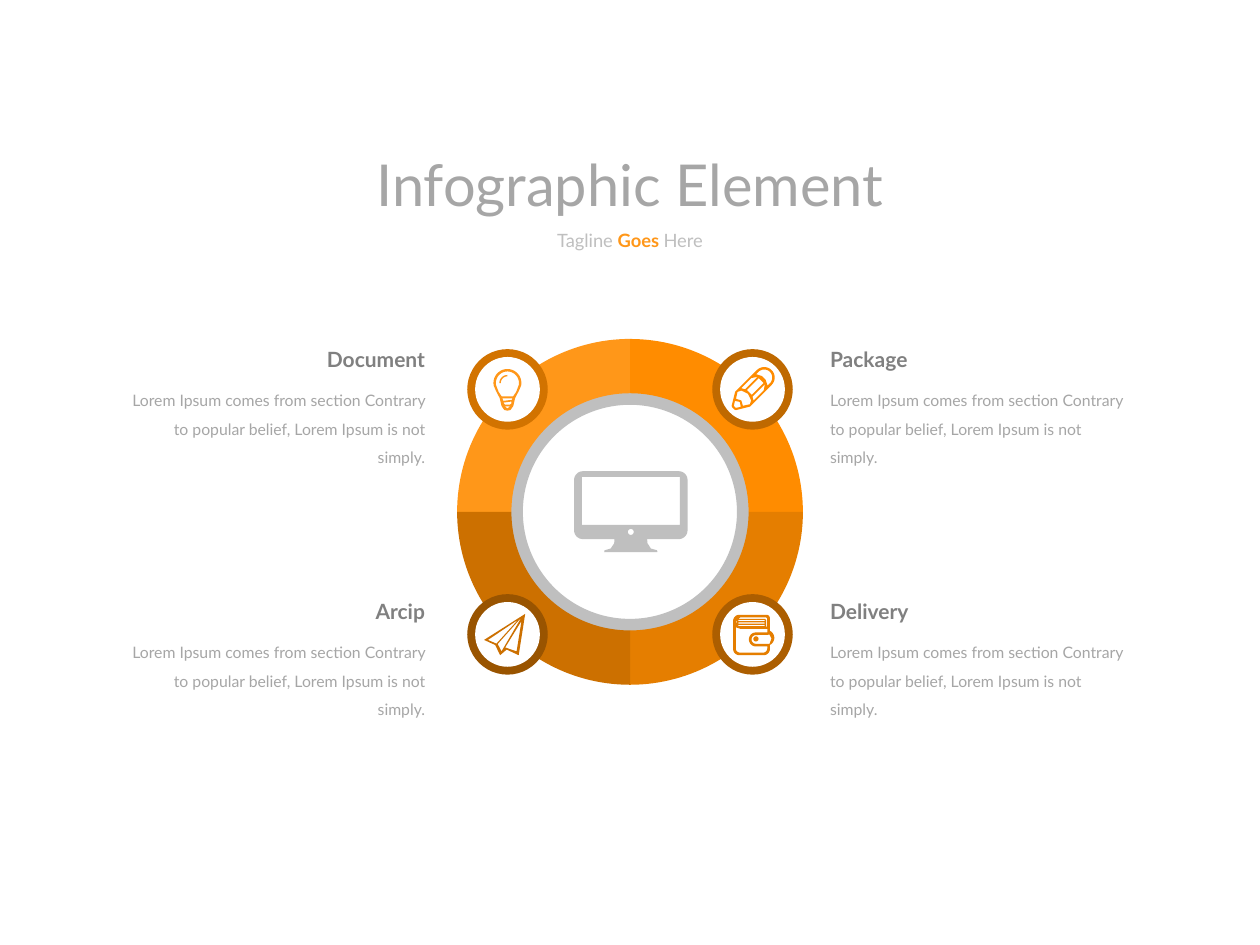
from math import cos, radians, sin

from pptx import Presentation
from pptx.dml.color import RGBColor
from pptx.enum.shapes import MSO_SHAPE as SHAPE
from pptx.enum.text import MSO_ANCHOR as ANCHOR, MSO_AUTO_SIZE as AUTO, PP_ALIGN as ALIGN
from pptx.util import Pt

COLORS = {
    "title": "A6A6A6", "tagline": "BFBFBF", "accent": "FF9719",
    "heading": "808080", "body": "A6A6A6", "gray": "BFBFBF", "white": "FFFFFF",
    "bulb": "FF9719", "pencil": "FF8C00", "wallet": "E57E00", "plane": "CC7000",
    "bulb rim": "D27300", "pencil rim": "BF6900",
    "wallet rim": "AC5E00", "plane rim": "995400",
}
CX, CY = 360, 292.5  # centre of the wheel
BADGE = 70           # badge distance from the centre, across and down
LOREM = ("Lorem Ipsum comes from section Contrary to popular belief, "
         "Lorem Ipsum is not simply.")


def arc(x, y, r, start, end):
    """Points on an arc, in degrees clockwise from the right."""
    steps = max(2, round(abs(end - start) / 10))
    angles = [radians(start + (end - start) * i / steps) for i in range(steps + 1)]
    return [(x + r * cos(a), y + r * sin(a)) for a in angles]


def box(x, y, w, h, r=0):
    corners = [(x + r, y + r, 180), (x + w - r, y + r, 270),
               (x + w - r, y + h - r, 0), (x + r, y + h - r, 90)]
    return [p for cx, cy, a in corners for p in arc(cx, cy, r, a, a + 90)]


def flip(points):
    return [(-x, y) for x, y in reversed(points)]


def mirror(points):
    """Close a right half with its reflection."""
    return points + flip(points)


# Icon outlines in points around their centres; inner contours are holes
MONITOR = [
    box(-32.4, -23.2, 64.8, 38.8, 5),
    box(-28, -20, 56, 27.5),
    arc(0, 11.5, 1.7, 0, 360),
    mirror([(9.3, 15.6), (9.5, 18), (11.5, 21), (15, 22), (15.2, 23)]),
]
BULB = [
    mirror(arc(0, -3.6, 8, 270, 370)
           + [(6.5, 1), (4.4, 5), (3.4, 9.5), (1.8, 11.8), (0, 12.2)]),
    mirror(arc(0, -3.6, 6.6, 270, 370) + [(5, 1.5), (3.3, 4)]),
    [(2.9, 5.2), (2.6, 6), (-2.3, 6.6), (-2.9, 5.2)],
    [(2.3, 7), (2.2, 8.2), (1.5, 8.7), (-1.5, 8.7), (-2.3, 7.6)],
    mirror([(1.5, 9.8), (0, 10.9)]),
]
SHINE = [arc(0, -3.6, 4.6, 180, 270) + arc(0, -3.6, 3.8, 270, 180)]
STRIP = [(3, -7.1), (5, -4.1), (5, 4.1), (3, 3)]
PENCIL = [  # upright, tip down
    mirror(arc(0, -9.5, 6, 270, 360) + [(6, 8), (1.8, 15), (0.9, 15.5)]),
    mirror(arc(0, -9.5, 4.6, 270, 360) + [(4.6, -7.6), (1.5, -9.2)]),
    mirror([(2, -7.1), (2, 2.5)]),
    STRIP,
    flip(STRIP),
    mirror([(0, 3.6), (4, 5), (5, 7.1), (2.8, 10.5), (0, 9)]),
    mirror([(0, 10.2), (2.4, 11.8), (0.8, 14.2)]),
]
WALLET = [
    arc(-7.5, -7.7, 3.5, 180, 270) + arc(8, -9.2, 2, 270, 360)
    + arc(8, 2, 4.5, -64, 64) + arc(6.5, 8.4, 3.5, 0, 90) + arc(-7.5, 8.4, 3.5, 90, 180),
    [(-9.4, -4), (-7, -3.2), (8.5, -3.2), (8.5, -1.1)] + arc(2, 2.9, 4, 270, 90)
    + [(8.5, 6.9)] + arc(6.2, 8.1, 2.3, 0, 90) + arc(-7.2, 8.1, 2.3, 90, 180),
    arc(2, 2.9, 2.5, 90, 270) + [(9.8, 0.2), (10.9, 2.4), (9.8, 5.4)],
    [(8.4, -9.2), (7.8, -9.7), (-7, -9.7), (-9.3, -7.5), (-8.9, -5.5), (-8.9, -8.2),
     (-8.2, -8.9), (7.2, -8.9), (7.9, -8), (7.9, -4.6), (8.4, -4)],
] + [box(-8, y, 15, 0.7) for y in (-8.2, -6.8, -5.4)]
PLANE = [
    [(10.1, -11.7), (-13.4, 3.2), (-7, 6.1), (-4.2, 11.9), (-0.5, 8.7), (6.4, 11.9)],
    [(-11.2, 3.2), (6, -8.3), (-6.3, 5.3)],
    [(-5.6, 5.5), (8, -9.7), (-3.4, 9.7)],
    [(5.2, 9.7), (-1.3, 7.5), (8, -7.6)],
]


class Deck:
    font = "Lato"

    def __init__(self):
        self.prs = Presentation()
        self.prs.slide_width, self.prs.slide_height = Pt(720), Pt(540)
        self.slide = self.prs.slides.add_slide(self.prs.slide_layouts[5])

    def paint(self, sp, color):
        sp.shadow.inherit = False
        sp.fill.solid()
        sp.fill.fore_color.rgb = RGBColor.from_string(COLORS[color])
        sp.line.fill.background()

    def disc(self, x, y, r, color, kind=SHAPE.OVAL, adjustments=()):
        sp = self.slide.shapes.add_shape(kind, Pt(x - r), Pt(y - r), Pt(2 * r), Pt(2 * r))
        for i, value in enumerate(adjustments):
            sp.adjustments[i] = value
        self.paint(sp, color)

    def icon(self, x, y, contours, color, rotation=0):
        # Units of a hundredth of a point keep the curves smooth
        scaled = [[(px * 100, py * 100) for px, py in c] for c in contours]
        fb = self.slide.shapes.build_freeform(*scaled[0][0], scale=Pt(1) / 100)
        fb.add_line_segments(scaled[0][1:], close=True)
        for c in scaled[1:]:
            fb.move_to(*c[0])
            fb.add_line_segments(c[1:], close=True)
        sp = fb.convert_to_shape(Pt(x), Pt(y))
        sp.rotation = rotation
        self.paint(sp, color)

    def set_text(self, sp, runs, size, align, wrap=False, spacing=None):
        tf = sp.text_frame
        tf.word_wrap = wrap
        tf.auto_size = AUTO.SHAPE_TO_FIT_TEXT
        tf.vertical_anchor = ANCHOR.TOP
        p = tf.paragraphs[0]
        p.alignment = align
        if spacing:
            p.line_spacing = spacing
        for text, color, bold in runs:
            r = p.add_run()
            r.text = text
            r.font.name, r.font.size, r.font.bold = self.font, Pt(size), bold
            r.font.color.rgb = RGBColor.from_string(COLORS[color])

    def title(self, x, y, w, h, text):
        sp = self.slide.shapes.title
        sp.left, sp.top, sp.width, sp.height = Pt(x), Pt(y), Pt(w), Pt(h)
        self.set_text(sp, [(text, "title", False)], 33, ALIGN.CENTER)

    def text(self, x, y, w, h, runs, size, align, **layout):
        sp = self.slide.shapes.add_textbox(Pt(x), Pt(y), Pt(w), Pt(h))
        self.set_text(sp, runs, size, align, **layout)


def main():
    deck = Deck()

    # Title and tagline
    deck.title(204, 81.5, 312, 47.5, "Infographic Element")
    deck.text(309.5, 127.5, 101, 20,
              [("Tagline ", "tagline", False), ("Goes ", "accent", True),
               ("Here", "tagline", False)], 10.5, ALIGN.CENTER)

    # Wheel: grey ring under four quadrants
    deck.disc(CX, CY, 82, "gray", SHAPE.DONUT, [0.127])
    # side, row, start angle, colour name, icon, icon turn, heading, heading width
    parts = [
        (-1, -1, 180, "bulb", BULB, 0, "Document", 71.3),
        (1, -1, 270, "pencil", PENCIL, 45, "Package", 59.8),
        (1, 1, 0, "wallet", WALLET, 0, "Delivery", 59.8),
        (-1, 1, 90, "plane", PLANE, 0, "Arcip", 43.2),
    ]
    for _, _, start, color, *_ in parts:
        # An angle adjustment of 0.6 is one degree
        deck.disc(CX, CY, 98.8, color, SHAPE.BLOCK_ARC,
                  [start * 0.6, (start + 90) % 360 * 0.6, 0.157])
    deck.icon(CX + 0.5, CY, MONITOR, "gray")

    # Badges with icons, and their texts
    for side, row, _, color, outline, turn, heading, width in parts:
        x, y = CX + side * BADGE, CY + row * BADGE
        deck.disc(x, y, 23, color + " rim")
        deck.disc(x, y, 18.5, "white")
        deck.icon(x, y, outline, color, turn)
        if outline is BULB:
            deck.icon(x, y, SHINE, color)
        if outline is WALLET:
            deck.disc(x + 2, y + 2.6, 1.5, color)

        left, align = (65, ALIGN.RIGHT) if side < 0 else (467.3, ALIGN.LEFT)
        top = 266.4 + row * 72
        deck.text(left, top + 20.2, 185, 56, [(LOREM, "body", False)], 9, align,
                  wrap=True, spacing=1.5)
        deck.text(left + (185 - width if side < 0 else 0), top, width, 21.6,
                  [(heading, "heading", True)], 12, align)

    deck.prs.save("out.pptx")


if __name__ == "__main__":
    main()
